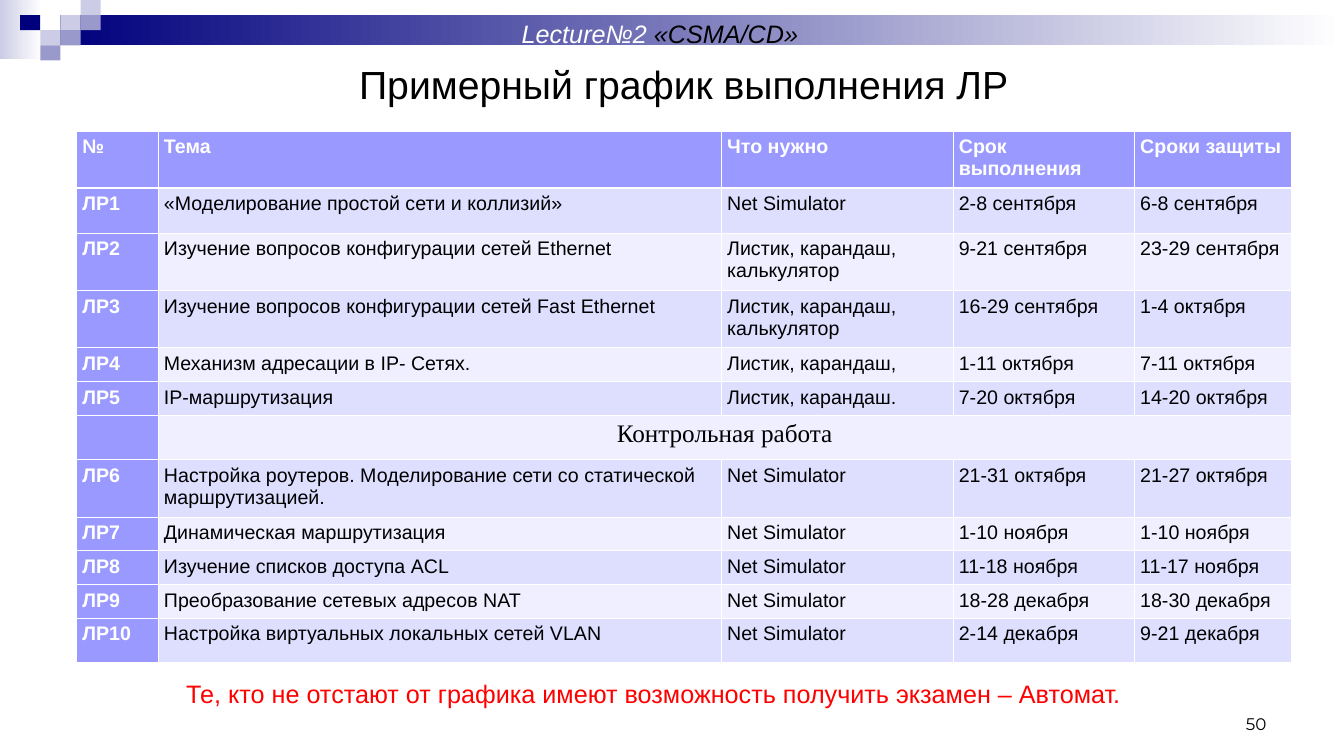
from dataclasses import dataclass

from lxml import etree
from pptx import Presentation
from pptx.dml.color import RGBColor
from pptx.enum.shapes import MSO_SHAPE
from pptx.enum.text import MSO_ANCHOR, MSO_AUTO_SIZE, PP_ALIGN
from pptx.oxml.ns import qn
from pptx.util import Pt

RECTANGLE = MSO_SHAPE.RECTANGLE
TOP, MIDDLE, BOTTOM = MSO_ANCHOR.TOP, MSO_ANCHOR.MIDDLE, MSO_ANCHOR.BOTTOM
LEFT, CENTER, RIGHT = PP_ALIGN.LEFT, PP_ALIGN.CENTER, PP_ALIGN.RIGHT
FIT_SHAPE, NO_FIT = MSO_AUTO_SIZE.SHAPE_TO_FIT_TEXT, MSO_AUTO_SIZE.NONE


@dataclass(frozen=True)
class Theme:
    """Colours, fonts and type sizes of the slide."""
    navy: str = "00007D"
    slate: str = "9999CC"
    mist: str = "CCCCE6"
    violet: str = "9999FF"
    band_dark: str = "DEDEFF"
    band_light: str = "EFEFFF"
    white: str = "FFFFFF"
    black: str = "000000"
    red: str = "FF0000"
    sans: str = "Arial"
    serif: str = "Times New Roman"
    number_font: str = "Montserrat"
    title_size: float = 28
    text_size: float = 18
    table_size: float = 14
    number_size: float = 12
    rule: float = 0.45
    header_rule: float = 1.47


THEME = Theme()
SIMULATOR = "Net Simulator"
HEADER = ("№", "Тема", "Что нужно", "Срок выполнения", "Сроки защиты")
LABS = (
    ("ЛР1", "«Моделирование простой сети и коллизий»", SIMULATOR, "2-8 сентября", "6-8 сентября"),
    ("ЛР2", "Изучение вопросов конфигурации сетей Ethernet", "Листик, карандаш, калькулятор",
     "9-21 сентября", "23-29 сентября"),
    ("ЛР3", "Изучение вопросов конфигурации сетей Fast Ethernet", "Листик, карандаш, калькулятор",
     "16-29 сентября", "1-4 октября"),
    ("ЛР4", "Механизм адресации в IP- Сетях.", "Листик, карандаш,", "1-11 октября", "7-11 октября"),
    ("ЛР5", "IP-маршрутизация", "Листик, карандаш.", "7-20 октября", "14-20 октября"),
    ("", "Контрольная работа"),
    ("ЛР6", "Настройка роутеров. Моделирование сети со статической маршрутизацией.", SIMULATOR,
     "21-31 октября", "21-27 октября"),
    ("ЛР7", "Динамическая маршрутизация", SIMULATOR, "1-10 ноября", "1-10 ноября"),
    ("ЛР8", "Изучение списков доступа ACL", SIMULATOR, "11-18 ноября", "11-17 ноября"),
    ("ЛР9", "Преобразование сетевых адресов NAT", SIMULATOR, "18-28 декабря", "18-30 декабря"),
    ("ЛР10", "Настройка виртуальных локальных сетей VLAN", SIMULATOR, "2-14 декабря", "9-21 декабря"),
)
COLUMN_WIDTHS = (58.3, 402.5, 165.6, 129.6, 112.3)
ROW_HEIGHTS = (40.5, 32, 41, 41, 24, 24, 32, 41, 24, 24, 24, 32)


def color(value):
    """Turn a hex string into a colour."""
    return RGBColor.from_string(value)


def style_font(font, size, fill, name=THEME.sans, bold=False, italic=False):
    """Set the look of a font."""
    font.name, font.size, font.bold, font.italic = name, Pt(size), bold, italic
    font.color.rgb = color(fill)


def add_rectangle(slide, box, *colors):
    """Draw a borderless rectangle, plain or fading between two colours."""
    shape = slide.shapes.add_shape(RECTANGLE, *map(Pt, box))
    shape.shadow.inherit = False
    shape.line.fill.background()
    if len(colors) == 1:
        shape.fill.solid()
        shape.fill.fore_color.rgb = color(colors[0])
    else:
        shape.fill.gradient()
        shape.fill.gradient_angle = 0
        for stop, value in zip(shape.fill.gradient_stops, colors):
            stop.color.rgb = color(value)


def add_banner(slide, box):
    """Draw the top bar with its mosaic of small squares."""
    left, top, width, height = box
    tile_width, tile_height = 14.4, height / 4
    add_rectangle(slide, (left, top, 30, 42), THEME.mist, THEME.white)
    add_rectangle(slide, (left + 3 * tile_width, top + tile_height,
                          width - 3 * tile_width, 2 * tile_height), THEME.navy, THEME.white)
    tiles = ((3, 1, THEME.mist), (4, 0, THEME.mist), (4, 1, THEME.slate), (2, 2, THEME.mist),
             (1, 1, THEME.navy), (3, 2, THEME.slate), (2, 3, THEME.slate))
    for column, row, fill in tiles:
        add_rectangle(slide, (left + column * tile_width, top + row * tile_height,
                              tile_width, tile_height), fill)


def add_label(slide, box, pieces, size, align=LEFT, anchor=TOP, wrap=True, fit=FIT_SHAPE,
              name=THEME.sans, italic=False):
    """Place a one-paragraph text box made of (text, colour) pieces."""
    frame = slide.shapes.add_textbox(*map(Pt, box)).text_frame
    frame.word_wrap, frame.auto_size, frame.vertical_anchor = wrap, fit, anchor
    paragraph = frame.paragraphs[0]
    paragraph.alignment = align
    for text, fill in pieces:
        run = paragraph.add_run()
        run.text = text
        style_font(run.font, size, fill, name, italic=italic)


def set_title(slide, box, text):
    """Move and format the title placeholder."""
    title = slide.shapes.title
    title.left, title.top, title.width, title.height = map(Pt, box)
    frame = title.text_frame
    frame.text = text
    frame.vertical_anchor, frame.auto_size = MIDDLE, NO_FIT
    frame.paragraphs[0].alignment = CENTER
    style_font(frame.paragraphs[0].runs[0].font, THEME.title_size, THEME.black)


def set_borders(cell, top, bottom):
    """Give a cell white borders, with its own top and bottom widths."""
    properties = cell._tc.get_or_add_tcPr()
    widths = {"a:lnL": THEME.rule, "a:lnR": THEME.rule, "a:lnT": top, "a:lnB": bottom}
    for tag, width in widths.items():
        line = etree.SubElement(properties, qn(tag), w=str(Pt(width)))
        fill = etree.SubElement(line, qn("a:solidFill"))
        etree.SubElement(fill, qn("a:srgbClr"), val=THEME.white)


def style_cell(cell, row, column):
    """Format a schedule cell by its place in the grid."""
    heading = row == 0 or column == 0
    set_borders(cell, THEME.header_rule if row == 1 else THEME.rule,
                THEME.header_rule if row == 0 else THEME.rule)
    cell.margin_left = cell.margin_right = Pt(4.3)
    cell.margin_top = cell.margin_bottom = Pt(3.6)
    cell.fill.solid()
    band = THEME.band_dark if row % 2 else THEME.band_light
    cell.fill.fore_color.rgb = color(THEME.violet if heading else band)
    for run in cell.text_frame.paragraphs[0].runs:
        if cell.is_merge_origin:
            cell.text_frame.paragraphs[0].alignment = CENTER
            style_font(run.font, THEME.text_size, THEME.black, THEME.serif)
        else:
            style_font(run.font, THEME.table_size,
                       THEME.white if heading else THEME.black, bold=heading)


def add_schedule(slide, box):
    """Build the table of laboratory works."""
    rows = (HEADER, *LABS)
    table = slide.shapes.add_table(len(rows), len(HEADER), *map(Pt, box)).table
    table.horz_banding = False
    for column, width in zip(table.columns, COLUMN_WIDTHS):
        column.width = Pt(width)
    for row, height in zip(table.rows, ROW_HEIGHTS):
        row.height = Pt(height)
    for row, texts in enumerate(rows):
        if len(texts) < len(HEADER):
            table.cell(row, 1).merge(table.cell(row, len(HEADER) - 1))
        for column, text in enumerate(texts):
            table.cell(row, column).text = text
        for column in range(len(HEADER)):
            style_cell(table.cell(row, column), row, column)


def main():
    """Build the slide and save it."""
    presentation = Presentation()
    presentation.slide_width, presentation.slide_height = Pt(960.48), Pt(540)
    slide = presentation.slides.add_slide(presentation.slide_layouts[5])
    add_banner(slide, (0, 0, 960.48, 43.2))
    add_label(slide, (688.3, 491.8, 223.9, 36), [("50", THEME.black)], THEME.number_size,
              RIGHT, BOTTOM, fit=NO_FIT, name=THEME.number_font)
    set_title(slide, (193, 38.2, 591, 44), "Примерный график выполнения ЛР")
    add_label(slide, (361.6, 9.4, 220, 28.8),
              [("Lecture№2 ", THEME.white), ("«CSMA/CD»", THEME.black)],
              THEME.text_size, CENTER, wrap=False, italic=True)
    add_schedule(slide, (54.6, 93.5, sum(COLUMN_WIDTHS), sum(ROW_HEIGHTS)))
    add_label(slide, (126, 481, 694.8, 28.8),
              [("Те, кто не отстают от графика имеют возможность получить экзамен – Автомат.",
                THEME.red)], THEME.text_size)
    presentation.save("out.pptx")


if __name__ == "__main__":
    main()
